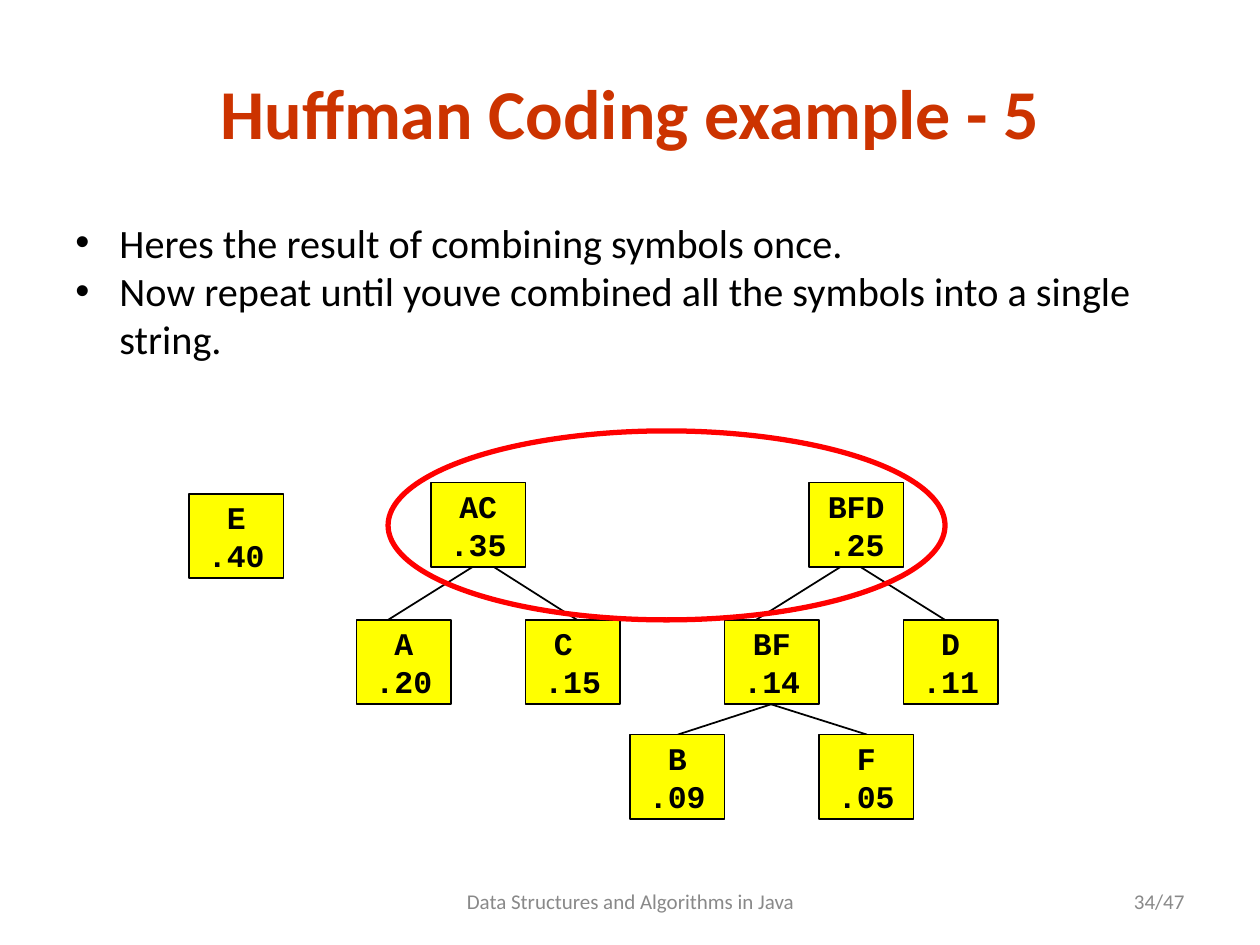
import pptx
import pptx.util
import pptx.dml.color
import pptx.enum.shapes
import pptx.enum.text
from lxml import etree

Inches, Pt = pptx.util.Inches, pptx.util.Pt
ALIGN = pptx.enum.text.PP_ALIGN
ANCHOR = pptx.enum.text.MSO_ANCHOR
SHAPE = pptx.enum.shapes.MSO_SHAPE

TITLE = "Huffman Coding example - 5"
POINTS = [
    "Heres the result of combining symbols once.",
    "Now repeat until youve combined all the symbols into a single string.",
]
FOOTER = "Data Structures and Algorithms in Java"
PAGE = "34/47"

NODE_W, NODE_H = 0.75, 0.67
# symbol: (label, frequency, left, top)
NODES = {
    "E": ("E", ".40", 1.5, 3.92),
    "AC": ("AC", ".35", 3.42, 3.83),
    "A": ("A", ".20", 2.83, 4.92),
    "C": ("C ", ".15", 4.17, 4.92),
    "BFD": ("BFD", ".25", 6.42, 3.83),
    "BF": ("BF", ".14", 5.75, 4.92),
    "D": ("D", ".11", 7.17, 4.92),
    "B": ("B", ".09", 5, 5.83),
    "F": ("F", ".05", 6.5, 5.83),
}
# parent, start offset along its bottom, child, end offset along its top
EDGES = [
    ("AC", 0.33, "A", 0.25),
    ("AC", 0.5, "C", 0.41),
    ("BFD", 0.25, "BF", 0.25),
    ("BFD", 0.41, "D", 0.33),
    ("BF", 0.37, "B", 0.38),
    ("BF", 0.37, "F", 0.38),
]
NEXT_PAIR = (3.08, 3.42, 4.42, 1.5)


def color(value):
    return pptx.dml.color.RGBColor.from_string(value)


def write(frame, lines, size, ink, align, font="Calibri", bold=False,
          anchor=ANCHOR.MIDDLE, wrap=True, bullet=False):
    frame.word_wrap = wrap
    frame.vertical_anchor = anchor
    for i, line in enumerate(lines):
        paragraph = frame.paragraphs[0] if i == 0 else frame.add_paragraph()
        paragraph.text = line
        paragraph.alignment = align
        if bullet:
            add_bullet(paragraph)
        paragraph.font.name = font
        paragraph.font.size = Pt(size)
        paragraph.font.bold = bold
        paragraph.font.color.rgb = color(ink)


def add_bullet(paragraph):
    props = paragraph._p.get_or_add_pPr()
    props.set("marL", str(Inches(0.35)))
    props.set("indent", str(Inches(-0.35)))
    etree.SubElement(props, pptx.oxml.ns.qn("a:buFont"), typeface="Arial")
    etree.SubElement(props, pptx.oxml.ns.qn("a:buChar"), char="•")


def add_text(slide, box, lines, *style, **options):
    frame = slide.shapes.add_textbox(*map(Inches, box)).text_frame
    write(frame, lines, *style, **options)


def add_outlined(slide, kind, box, ink, width):
    shape = slide.shapes.add_shape(kind, *map(Inches, box))
    shape.shadow.inherit = False
    shape.fill.background()
    shape.line.color.rgb = color(ink)
    shape.line.width = Pt(width)
    return shape


def add_node(slide, label, frequency, left, top):
    node = add_outlined(slide, SHAPE.RECTANGLE, (left, top, NODE_W, NODE_H), "000000", 1)
    node.fill.solid()
    node.fill.fore_color.rgb = color("FFFF00")
    write(node.text_frame, [label, frequency], 18, "000000", ALIGN.CENTER,
          font="Courier New", bold=True, wrap=False)


def add_edge(slide, parent, start, child, end):
    parent_left, parent_top = NODES[parent][2:]
    child_left, child_top = NODES[child][2:]
    ends = (parent_left + start, parent_top + NODE_H, child_left + end, child_top)
    edge = slide.shapes.add_connector(
        pptx.enum.shapes.MSO_CONNECTOR.STRAIGHT, *map(Inches, ends))
    edge.line.color.rgb = color("000000")
    edge.line.width = Pt(1)
    etree.SubElement(edge._element.spPr, pptx.oxml.ns.qn("a:effectLst"))


def main():
    deck = pptx.Presentation()
    deck.slide_width, deck.slide_height = Inches(10), Inches(7.5)
    slide = deck.slides.add_slide(deck.slide_layouts[6])

    add_text(slide, (0.75, 0.5, 8.5, 0.77), [TITLE], 40, "CC3300", ALIGN.CENTER, bold=True)
    add_text(slide, (0.5, 1.68, 9, 1.39), POINTS, 23, "000000", ALIGN.LEFT,
             anchor=ANCHOR.TOP, bullet=True)
    add_text(slide, (3.42, 6.95, 3.17, 0.4), [FOOTER], 12, "898989", ALIGN.CENTER)
    add_text(slide, (7.17, 6.95, 2.33, 0.4), [PAGE], 12, "898989", ALIGN.RIGHT)

    for edge in EDGES:
        add_edge(slide, *edge)
    for node in NODES.values():
        add_node(slide, *node)
    add_outlined(slide, SHAPE.OVAL, NEXT_PAIR, "FF0000", 3)

    deck.save("out.pptx")


if __name__ == "__main__":
    main()
